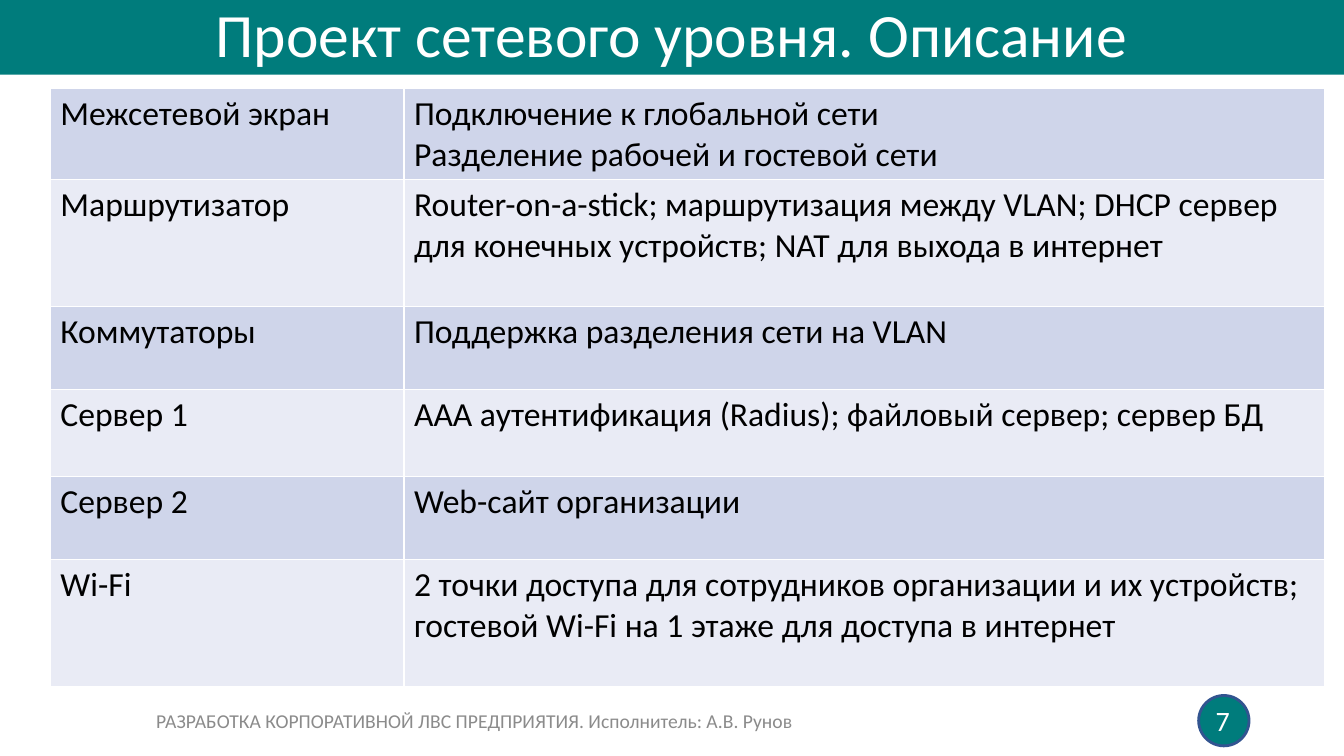
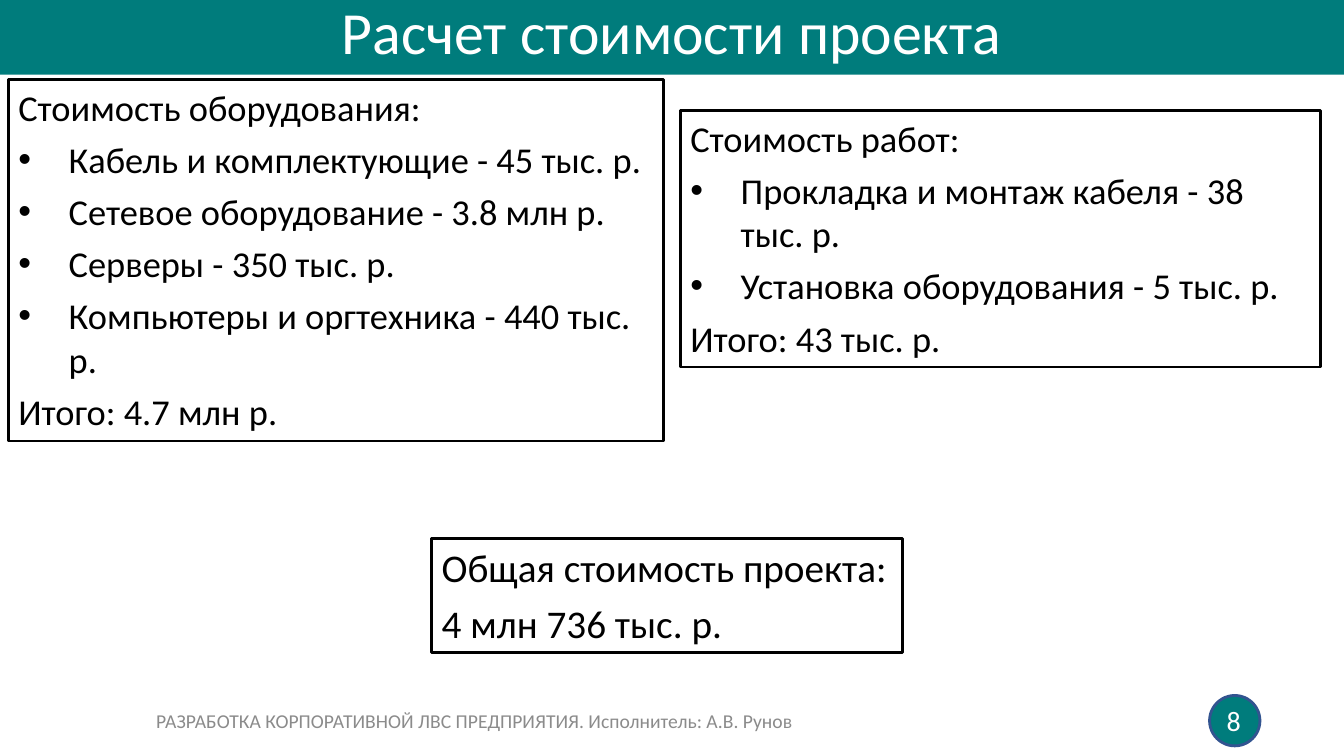
"""Build two slides on a corporate network project: its devices and its cost."""
from dataclasses import dataclass

import lxml.etree
import pptx
import pptx.dml.color
import pptx.enum.shapes
import pptx.enum.text
import pptx.oxml.ns
import pptx.presentation
import pptx.shapes.base
import pptx.slide
import pptx.text.text
import pptx.util

RGBColor = pptx.dml.color.RGBColor
Shapes = pptx.enum.shapes.MSO_SHAPE
Align = pptx.enum.text.PP_ALIGN
Anchor = pptx.enum.text.MSO_ANCHOR
AutoSize = pptx.enum.text.MSO_AUTO_SIZE

TEAL = RGBColor(0x00, 0x7C, 0x7C)
NAVY = RGBColor(0x32, 0x54, 0x90)
WHITE = RGBColor(0xFF, 0xFF, 0xFF)
BLACK = RGBColor(0x00, 0x00, 0x00)
GRAY = RGBColor(0x8B, 0x8B, 0x8B)
BANDS = (RGBColor(0xCF, 0xD5, 0xEA), RGBColor(0xE9, 0xEB, 0xF5))

FONT = "Calibri"
COLUMNS, ROWS = 160, 90
UNIT = pptx.util.Inches(1) / 12
FOOTER = "РАЗРАБОТКА КОРПОРАТИВНОЙ ЛВС ПРЕДПРИЯТИЯ. Исполнитель: А.В. Рунов"


@dataclass(frozen=True)
class Area:
    column: float
    row: float
    columns: float
    rows: float

    def box(self) -> tuple[int, ...]:
        return tuple(grid(n) for n in (self.column, self.row, self.columns, self.rows))


@dataclass(frozen=True)
class Heading:
    text: str
    size: float
    spacing: float


@dataclass(frozen=True)
class Device:
    name: str
    duties: tuple[str, ...]
    rows: float


@dataclass(frozen=True)
class Cost:
    area: Area
    heading: str
    items: tuple[str, ...]
    total: str
    size: float = 26
    wrap: bool = True


TITLE_BAND = Area(0, 0, COLUMNS, 8.9)
FOOTER_AREA = Area(0, 83.4, 113, 4.8)
DEVICE_AREA = Area(6, 10.55, 151.7, 71)
NAME_COLUMNS = 42.1

DEVICES = (
    Device("Межсетевой экран",
           ("Подключение к глобальной сети", "Разделение рабочей и гостевой сети"), 10.4),
    Device("Маршрутизатор",
           ("Router-on-a-stick; маршрутизация между VLAN; DHCP сервер для конечных "
            "устройств; NAT для выхода в интернет",), 15.1),
    Device("Коммутаторы", ("Поддержка разделения сети на VLAN",), 9.9),
    Device("Сервер 1", ("AAA аутентификация (Radius); файловый сервер; сервер БД",), 10.4),
    Device("Сервер 2", ("Web-сайт организации",), 9.9),
    Device("Wi-Fi",
           ("2 точки доступа для сотрудников организации и их устройств; гостевой Wi-Fi "
            "на 1 этаже для доступа в интернет",), 15.1),
)

COSTS = (
    Cost(Area(1, 9.5, 78, 43), "Стоимость оборудования:",
         ("Кабель и комплектующие - 45 тыс. р.", "Сетевое оборудование - 3.8 млн р.",
          "Серверы - 350 тыс. р.", "Компьютеры и оргтехника - 440 тыс. р."),
         "Итого: 4.7 млн р."),
    Cost(Area(81, 13.2, 76.2, 30.5), "Стоимость работ:",
         ("Прокладка и монтаж кабеля - 38 тыс. р.", "Установка оборудования - 5 тыс. р."),
         "Итого: 43 тыс. р."),
    Cost(Area(51.4, 64.1, 56, 13.6), "Общая стоимость проекта:", (),
         "4 млн 736 тыс. р.", size=28, wrap=False),
)


def grid(cells: float) -> int:
    return pptx.util.Emu(round(cells * UNIT))


def add_run(paragraph: pptx.text.text._Paragraph, text: str, size: float,
            color: RGBColor) -> None:
    run = paragraph.add_run()
    run.text = text
    run.font.name = FONT
    run.font.size = pptx.util.Pt(size)
    run.font.color.rgb = color


def write_lines(frame: pptx.text.text.TextFrame, lines: tuple[str, ...], size: float,
                color: RGBColor, align: Align = Align.LEFT) -> None:
    for index, line in enumerate(lines):
        paragraph = frame.add_paragraph() if index else frame.paragraphs[0]
        paragraph.alignment = align
        add_run(paragraph, line, size, color)


def add_bullet(paragraph: pptx.text.text._Paragraph) -> None:
    indent = pptx.util.Inches(0.5)
    properties = paragraph._p.get_or_add_pPr()
    properties.set("marL", str(indent))
    properties.set("indent", str(-indent))
    for tag, key, value in (("a:buFont", "typeface", "Arial"), ("a:buChar", "char", "•")):
        lxml.etree.SubElement(properties, pptx.oxml.ns.qn(tag)).set(key, value)


def add_figure(slide: pptx.slide.Slide, kind: Shapes, area: Area, fill: RGBColor,
               outline: RGBColor) -> pptx.shapes.base.BaseShape:
    figure = slide.shapes.add_shape(kind, *area.box())
    figure.shadow.inherit = False
    figure.fill.solid()
    figure.fill.fore_color.rgb = fill
    figure.line.color.rgb = outline
    figure.line.width = pptx.util.Pt(2)
    return figure


def add_label(slide: pptx.slide.Slide, area: Area, text: str, size: float,
              color: RGBColor, align: Align) -> None:
    frame = slide.shapes.add_textbox(*area.box()).text_frame
    frame.word_wrap = True
    frame.vertical_anchor = Anchor.MIDDLE
    write_lines(frame, (text,), size, color, align)


def add_page(deck: pptx.presentation.Presentation, heading: Heading, number: int,
             badge_column: float) -> pptx.slide.Slide:
    slide = deck.slides.add_slide(deck.slide_layouts.get_by_name("Title Only"))
    title = slide.shapes.title
    title.left, title.top, title.width, title.height = TITLE_BAND.box()
    title.fill.solid()
    title.fill.fore_color.rgb = TEAL
    frame = title.text_frame
    frame.auto_size = AutoSize.NONE
    frame.vertical_anchor = Anchor.MIDDLE
    frame.margin_left = frame.margin_right = frame.margin_top = frame.margin_bottom = 0
    write_lines(frame, (heading.text,), heading.size, WHITE, Align.CENTER)
    frame.paragraphs[0].line_spacing = heading.spacing

    add_figure(slide, Shapes.OVAL, Area(badge_column, 82.8, 6, 6), TEAL, NAVY)
    add_label(slide, FOOTER_AREA, FOOTER, 14, GRAY, Align.CENTER)
    number_area = Area(badge_column - 31.1, FOOTER_AREA.row, 36, FOOTER_AREA.rows)
    add_label(slide, number_area, str(number), 20, WHITE, Align.RIGHT)
    return slide


def add_devices(slide: pptx.slide.Slide, devices: tuple[Device, ...]) -> None:
    table = slide.shapes.add_table(len(devices), 2, *DEVICE_AREA.box()).table
    table.first_row = table.horz_banding = False
    table.columns[0].width = grid(NAME_COLUMNS)
    table.columns[1].width = grid(DEVICE_AREA.columns - NAME_COLUMNS)
    for index, device in enumerate(devices):
        table.rows[index].height = grid(device.rows)
        for column, lines in enumerate(((device.name,), device.duties)):
            cell = table.cell(index, column)
            cell.fill.solid()
            cell.fill.fore_color.rgb = BANDS[index % 2]
            write_lines(cell.text_frame, lines, 24, BLACK)


def add_cost(slide: pptx.slide.Slide, cost: Cost) -> None:
    frame = add_figure(slide, Shapes.RECTANGLE, cost.area, WHITE, BLACK).text_frame
    frame.word_wrap = cost.wrap
    frame.auto_size = AutoSize.SHAPE_TO_FIT_TEXT
    frame.vertical_anchor = Anchor.TOP
    write_lines(frame, (cost.heading, *cost.items, cost.total), cost.size, BLACK)
    for paragraph in frame.paragraphs:
        paragraph.space_after = pptx.util.Pt(6)
    for paragraph in frame.paragraphs[1:-1]:
        add_bullet(paragraph)


def main() -> None:
    deck = pptx.Presentation()
    deck.slide_width, deck.slide_height = grid(COLUMNS), grid(ROWS)
    network = add_page(deck, Heading("Проект сетевого уровня. Описание", 44, 0.9), 7, 142.7)
    add_devices(network, DEVICES)
    budget = add_page(deck, Heading("Расчет стоимости проекта", 42.7, 0.8), 8, 144)
    for cost in COSTS:
        add_cost(budget, cost)
    deck.save("out.pptx")


if __name__ == "__main__":
    main()
